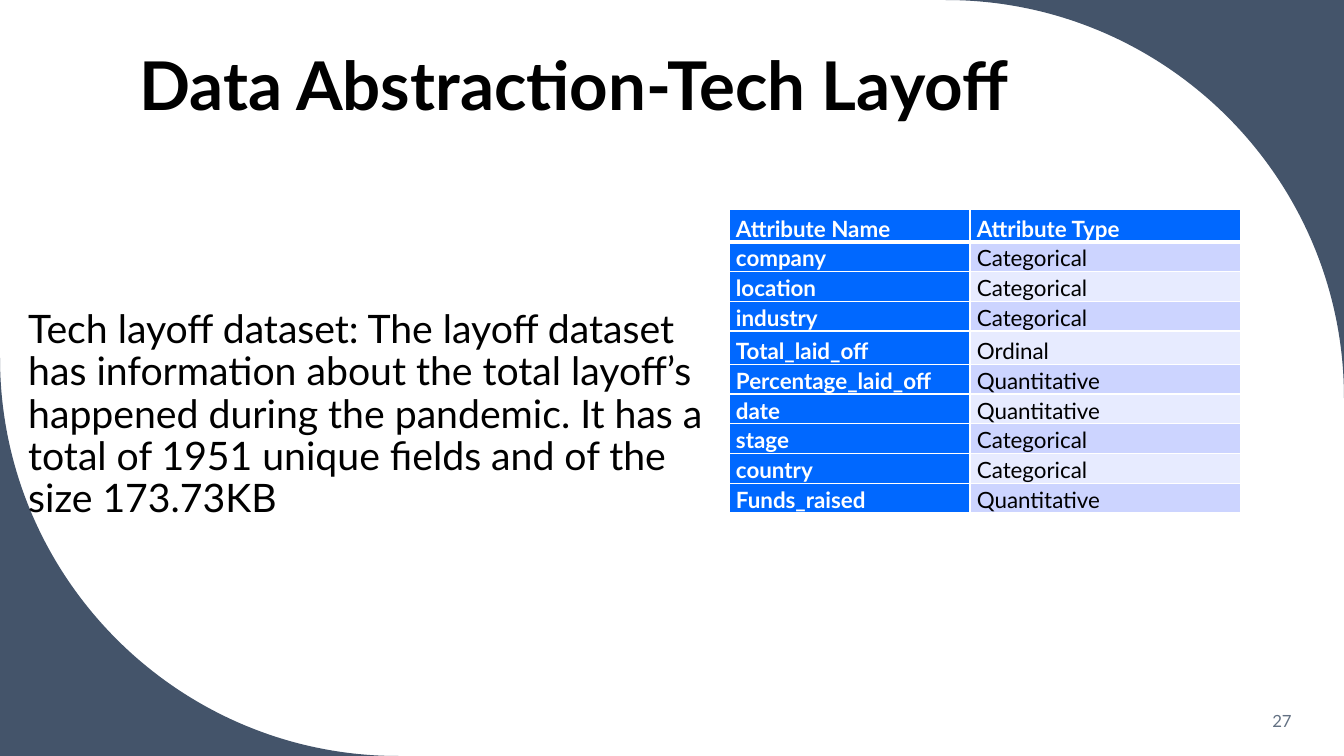
from dataclasses import dataclass

from lxml import etree
from pptx import Presentation
from pptx.dml.color import RGBColor
from pptx.enum import text as t
from pptx.oxml import ns
from pptx.util import Inches, Pt


@dataclass(frozen=True)
class Theme:
    face: str = "Lato"
    ink: str = "000000"
    white: str = "FFFFFF"
    slate: str = "44546A"
    grey: str = "637183"
    blue: str = "0068FF"
    bands: tuple = ("CCD4FF", "E7EBFF")
    head: int = 48
    body: int = 28
    cell: int = 16
    note: int = 12


LOOK = Theme()
WIDE, HIGH = 13.33, 7.5
RADIUS, BEND = 3.95, 1.77
TITLE = "Data Abstraction-Tech Layoff"
STORY = (
    "Tech layoff dataset: The layoff dataset has information about the total "
    "layoff’s happened during the pandemic. It has a total of 1951 unique "
    "fields and of the size 173.73KB"
)
ROWS = [
    ("Attribute Name", "Attribute Type"),
    ("company", "Categorical"),
    ("location", "Categorical"),
    ("industry", "Categorical"),
    ("Total_laid_off", "Ordinal"),
    ("Percentage_laid_off", "Quantitative"),
    ("date", "Quantitative"),
    ("stage", "Categorical"),
    ("country", "Categorical"),
    ("Funds_raised", "Quantitative"),
]
DEPTH = 3.01
TALL = {0: 0.32, 4: 0.33}
REST = (DEPTH - sum(TALL.values())) / (len(ROWS) - len(TALL))


def apply(item, **values):
    for name, value in values.items():
        setattr(item, name, value)


def write(frame, words, size, color, bold=False, **para):
    line = frame.paragraphs[0]
    line.text = words
    apply(line, **para)
    apply(line.font, name=LOOK.face, size=Pt(size), bold=bold)
    line.font.color.rgb = RGBColor.from_string(color)


def place(shape, left, top, width, height):
    apply(shape, left=Inches(left), top=Inches(top),
          width=Inches(width), height=Inches(height))


def fill(item, color):
    item.fill.solid()
    item.fill.fore_color.rgb = RGBColor.from_string(color)


def corner(slide, tip, *curve):
    first, *rest = [(Inches(x), Inches(y)) for x, y in (tip, *curve)]
    build = slide.shapes.build_freeform(*first)
    build.add_line_segments(rest, close=True)
    shape = build.convert_to_shape()
    lines = list(shape.element.iter(ns.qn("a:lnTo")))[1:]
    arc = etree.Element(ns.qn("a:cubicBezTo"))
    lines[0].addprevious(arc)
    for line in lines:
        arc.append(line[0])
        line.getparent().remove(line)
    shape.shadow.inherit = False
    fill(shape, LOOK.slate)
    shape.line.fill.background()
    shape.element.getparent().insert(2, shape.element)


def heading(slide):
    title = slide.shapes.title
    place(title, 1.28, 0.42, 10.69, 0.87)
    apply(title.text_frame, word_wrap=True, auto_size=t.MSO_AUTO_SIZE.NONE,
          vertical_anchor=t.MSO_ANCHOR.BOTTOM)
    write(title.text_frame, TITLE, LOOK.head, LOOK.ink, True,
          alignment=t.PP_ALIGN.LEFT, line_spacing=0.9)


def story(slide):
    body = slide.placeholders[1]
    place(body, 0.18, 3.02, 6.92, 3.68)
    frame = body.text_frame
    apply(frame, word_wrap=True, auto_size=t.MSO_AUTO_SIZE.NONE)
    props = frame.paragraphs[0]._p.get_or_add_pPr()
    props.set("marL", "0")
    props.set("indent", "0")
    etree.SubElement(props, ns.qn("a:buNone"))
    write(frame, STORY, LOOK.body, LOOK.ink,
          line_spacing=0.9, space_before=Pt(0))


def border(cell, **widths):
    props = cell._tc.get_or_add_tcPr()
    for side in "LRTB":
        line = etree.SubElement(props, ns.qn("a:ln" + side),
                                w=str(Pt(widths.get(side, 1))))
        paint = etree.SubElement(line, ns.qn("a:solidFill"))
        etree.SubElement(paint, ns.qn("a:srgbClr"), val=LOOK.white)


def grid(slide):
    frame = slide.shapes.add_table(
        len(ROWS), 2, Inches(7.23), Inches(2.08), Inches(5.07), Inches(DEPTH))
    table = frame.table
    for col, width in zip(table.columns, (2.39, 2.68)):
        col.width = Inches(width)
    for i, row in enumerate(ROWS):
        table.rows[i].height = Inches(TALL.get(i, REST))
        for j, words in enumerate(row):
            cell = table.cell(i, j)
            strong = i == 0 or j == 0
            apply(cell, margin_left=Inches(0.07), margin_right=Inches(0.07),
                  margin_top=0, margin_bottom=0,
                  vertical_anchor=t.MSO_ANCHOR.BOTTOM)
            border(cell, B=3 if i == 0 else 1, T=3 if i == 1 else 1)
            fill(cell, LOOK.blue if strong else LOOK.bands[(i - 1) % 2])
            write(cell.text_frame, words, LOOK.cell,
                  LOOK.white if strong else LOOK.ink, strong)


def number(slide):
    box = slide.shapes.add_textbox(
        Inches(11.1), Inches(6.95), Inches(1.81), Inches(0.4))
    apply(box.text_frame, word_wrap=True, vertical_anchor=t.MSO_ANCHOR.MIDDLE)
    write(box.text_frame, "27", LOOK.note, LOOK.grey,
          alignment=t.PP_ALIGN.RIGHT)


def main():
    deck = Presentation()
    apply(deck, slide_width=Inches(WIDE), slide_height=Inches(HIGH))
    slide = deck.slides.add_slide(deck.slide_layouts[1])
    fill(slide.background, LOOK.white)
    corner(slide, (WIDE, 0), (WIDE - RADIUS, 0), (WIDE - BEND, 0),
           (WIDE, BEND), (WIDE, RADIUS))
    corner(slide, (0, HIGH), (0, HIGH - RADIUS), (0, HIGH - BEND),
           (BEND, HIGH), (RADIUS, HIGH))
    heading(slide)
    story(slide)
    grid(slide)
    number(slide)
    deck.save("out.pptx")


if __name__ == "__main__":
    main()
